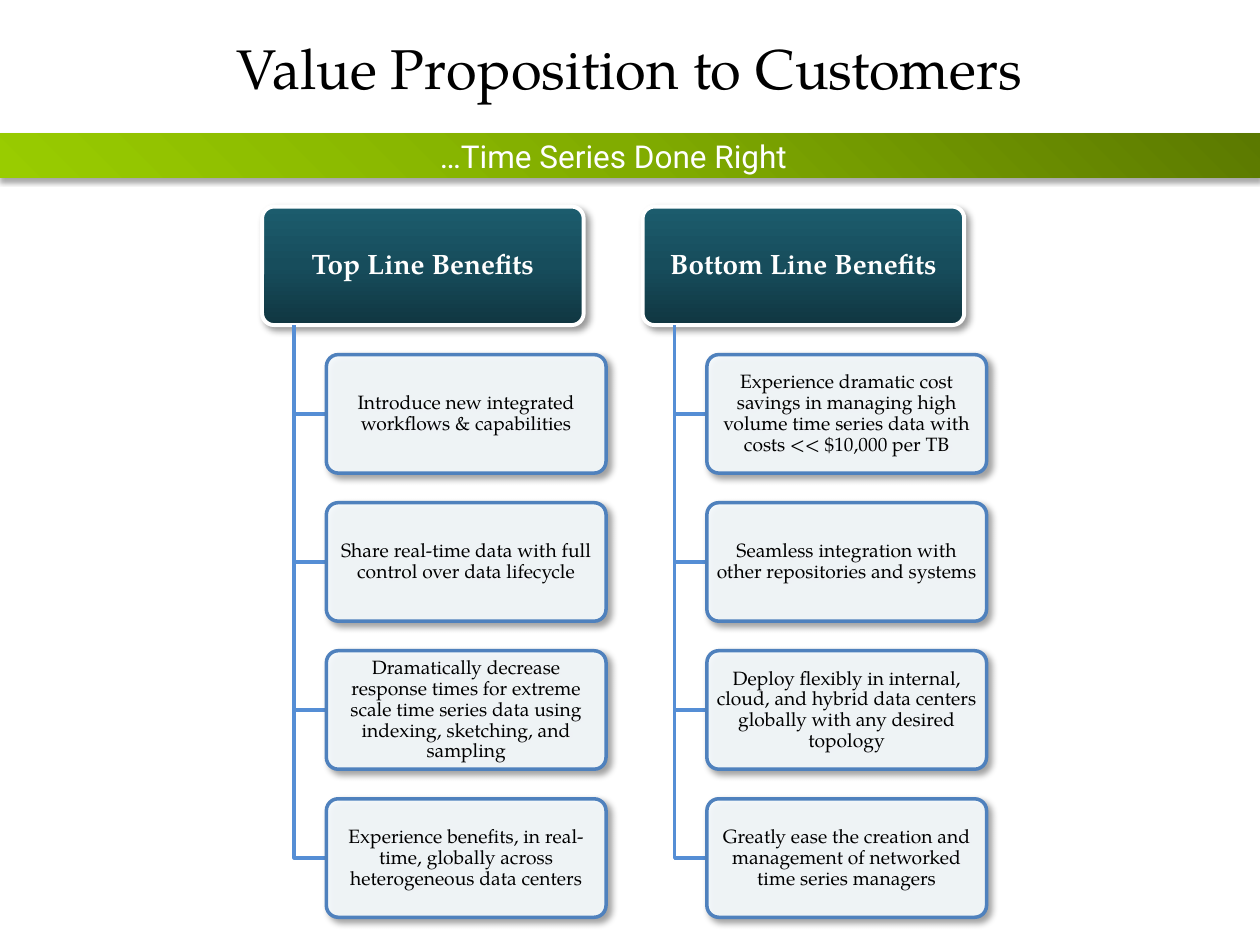
from collections import namedtuple

from pptx import Presentation
from pptx.dml.color import RGBColor
from pptx.enum.shapes import MSO_SHAPE
from pptx.enum.text import MSO_ANCHOR, PP_ALIGN
from pptx.oxml import parse_xml
from pptx.oxml.ns import nsdecls, qn
from pptx.util import Inches, Pt

Box = namedtuple("Box", "left top width height")

# The page is a grid of 100 columns by 75 rows of square cells.
CELL = Inches(0.1)
COLUMNS, ROWS = 100, 75

WHITE = RGBColor(0xFF, 0xFF, 0xFF)
BLACK = RGBColor(0x00, 0x00, 0x00)
CARD_FILL = RGBColor(0xF7, 0xFC, 0xFF)
CARD_LINE = RGBColor(0x4F, 0x81, 0xBD)
BRANCH_LINE = RGBColor(0x55, 0x8E, 0xD5)
GREENS = [RGBColor(0x5B, 0x79, 0x00), RGBColor(0x81, 0xAC, 0x00), RGBColor(0x99, 0xCC, 0x00)]
TEALS = [RGBColor(0x10, 0x36, 0x41), RGBColor(0x17, 0x4D, 0x5C), RGBColor(0x1C, 0x5C, 0x6D)]

UPWARD = '<a:lin ang="16200000" scaled="0"/>'
FROM_TOP_RIGHT = '<a:path path="circle"><a:fillToRect l="100000" b="100000"/></a:path>'

SERIF = "TeX Gyre Pagella"
TITLE_FONT = {"name": SERIF, "size": Pt(32)}
BAND_FONT = {"name": "Roboto", "size": Pt(18)}
HEADER_FONT = {"name": SERIF, "size": Pt(16), "bold": True}
CARD_FONT = {"name": SERIF, "size": Pt(11)}

CARD_SHADOW = {"blur": 4, "distance": 3, "angle": 45, "alpha": 40}
BAND_SHADOW = {"blur": 3.1, "distance": 1.8, "angle": 90, "alpha": 35}
BAND_FRAME = {"margin_right": Inches(0.36)}
HEADER_FRAME = {"margin_left": Inches(0.03), "margin_right": Inches(0.03),
                "margin_top": Inches(0.02), "margin_bottom": Inches(0.02)}
CARD_FRAME = dict.fromkeys(HEADER_FRAME, Inches(0.02))

BENEFITS = {
    "Top Line Benefits": [
        "Introduce new integrated workflows & capabilities",
        "Share real-time data with full control over data lifecycle",
        "Dramatically decrease response times for extreme scale time series "
        "data using indexing, sketching, and sampling",
        "Experience benefits, in real-time, globally across heterogeneous data centers",
    ],
    "Bottom Line Benefits": [
        "Experience dramatic cost savings in managing high volume time series "
        "data with costs << $10,000 per TB",
        "Seamless integration with other repositories and systems",
        "Deploy flexibly in internal, cloud, and hybrid data centers globally "
        "with any desired topology",
        "Greatly ease the creation and management of networked time series managers",
    ],
}


def cells(*lengths):
    return [round(length * CELL) for length in lengths]


def apply(target, formats):
    for name, value in formats.items():
        setattr(target, name, value)


def write(shape, text, font, color, frame_format=None, spacing=1.0):
    frame = shape.text_frame
    apply(frame, {"word_wrap": True, "vertical_anchor": MSO_ANCHOR.MIDDLE,
                  **(frame_format or {})})
    para = frame.paragraphs[0]
    apply(para, {"alignment": PP_ALIGN.CENTER, "line_spacing": spacing})
    span = para.add_run()
    span.text = text
    apply(span.font, font)
    span.font.color.rgb = color


def fill_gradient(shape, colors, direction):
    """Spread the colours evenly; python-pptx cannot add gradient stops."""
    step = 100000 // (len(colors) - 1)
    stops = "".join(f'<a:gs pos="{i * step}"><a:srgbClr val="{color}"/></a:gs>'
                    for i, color in enumerate(colors))
    shape.fill.solid()
    solid = shape.element.spPr.find(qn("a:solidFill"))
    solid.getparent().replace(solid, parse_xml(
        f'<a:gradFill {nsdecls("a")} rotWithShape="1">'
        f'<a:gsLst>{stops}</a:gsLst>{direction}</a:gradFill>'))


def fill_translucent(shape, color, percent):
    shape.fill.solid()
    shape.fill.fore_color.rgb = color
    tint = shape.element.spPr.find(qn("a:solidFill"))[0]
    tint.append(parse_xml(f'<a:alpha {nsdecls("a")} val="{percent * 1000}"/>'))


def outline(shape, color, width):
    shape.line.color.rgb = color
    shape.line.width = Pt(width)


def cast_shadow(shape, blur, distance, angle, alpha):
    shape.shadow.inherit = False
    shape.element.spPr.find(qn("a:effectLst")).append(parse_xml(
        f'<a:outerShdw {nsdecls("a")} blurRad="{Pt(blur)}" dist="{Pt(distance)}" '
        f'dir="{angle * 60000}" algn="ctr" rotWithShape="0"><a:srgbClr val="000000">'
        f'<a:alpha val="{alpha * 1000}"/></a:srgbClr></a:outerShdw>'))


def add_title(page, box, text):
    write(page.shapes.add_textbox(*cells(*box)), text, TITLE_FONT, BLACK)


def add_band(page, box, text):
    band = page.shapes.add_shape(MSO_SHAPE.RECTANGLE, *cells(*box))
    fill_gradient(band, GREENS, FROM_TOP_RIGHT)
    band.line.fill.background()
    cast_shadow(band, **BAND_SHADOW)
    write(band, text, BAND_FONT, WHITE, BAND_FRAME)


def add_rounded(page, box):
    shape = page.shapes.add_shape(MSO_SHAPE.ROUNDED_RECTANGLE, *cells(*box))
    shape.adjustments[0] = 0.1
    cast_shadow(shape, **CARD_SHADOW)
    return shape


def add_header(page, box, text):
    header = add_rounded(page, box)
    fill_gradient(header, TEALS, UPWARD)
    outline(header, WHITE, 2.25)
    write(header, text, HEADER_FONT, WHITE, HEADER_FRAME, 0.9)


def add_card(page, box, text):
    card = add_rounded(page, box)
    fill_translucent(card, CARD_FILL, 90)
    outline(card, CARD_LINE, 2)
    write(card, text, CARD_FONT, BLACK, CARD_FRAME, 0.9)


def add_branch(page, box):
    """Draw an elbow down the left side of the box and along its bottom."""
    left, top, width, height = cells(*box)
    builder = page.shapes.build_freeform(left, top)
    builder.add_line_segments([(left, top + height), (left + width, top + height)],
                              close=False)
    branch = builder.convert_to_shape()
    branch.fill.background()
    branch.shadow.inherit = False
    outline(branch, BRANCH_LINE, 2)


def add_benefit_column(page, box, heading, items):
    """Stack a header and its cards, with a quarter of a card between rows."""
    height = box.height / (1 + 1.25 * len(items))
    pitch = 1.25 * height
    header = Box(box.left, box.top, 0.935 * box.width, height)
    indent = 0.2 * header.width
    add_header(page, header, heading)
    for row, item in enumerate(items, start=1):
        card = Box(box.left + indent, box.top + row * pitch, box.width - indent, height)
        add_branch(page, Box(box.left + indent / 2, box.top + height,
                             indent / 2, row * pitch - height / 2))
        add_card(page, card, item)


def main():
    deck = Presentation()
    deck.slide_width, deck.slide_height = cells(COLUMNS, ROWS)
    page = deck.slides.add_slide(deck.slide_layouts[6])
    add_title(page, Box(0, 0, COLUMNS, 10.6), "Value Proposition to Customers")
    add_band(page, Box(0, 10.6, COLUMNS, 3.5), "…Time Series Done Right")
    for column, (heading, items) in enumerate(BENEFITS.items()):
        box = Box(20.8 + 30.2 * column, 16.4, 27.3, 56.4)
        add_benefit_column(page, box, heading, items)
    deck.save("out.pptx")


if __name__ == "__main__":
    main()
